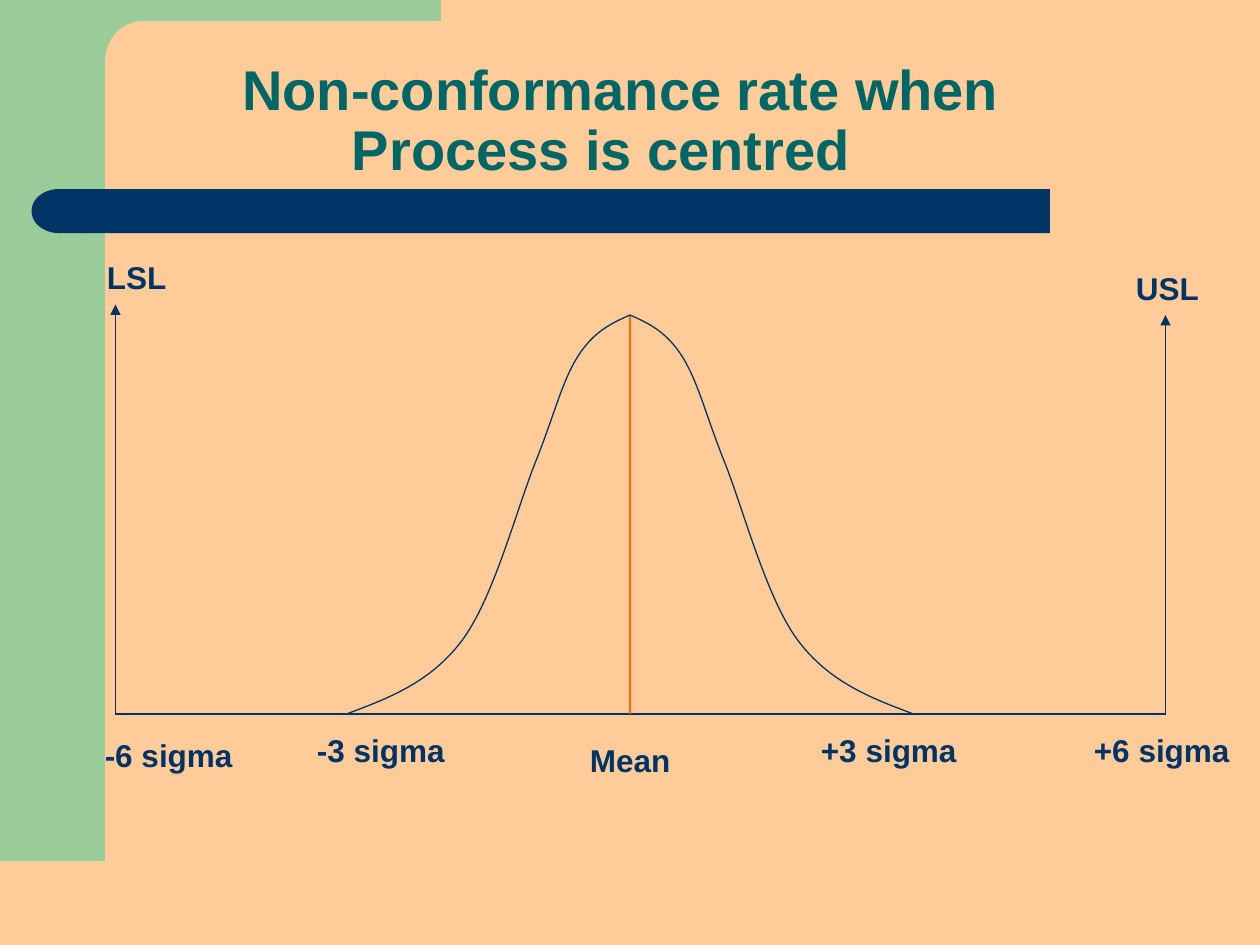
import copy

import lxml.etree
import pptx
import pptx.dml.color
import pptx.enum.shapes
import pptx.enum.text
import pptx.oxml.ns
import pptx.util

PEACH = pptx.dml.color.RGBColor(0xFF, 0xCC, 0x99)
GREEN = pptx.dml.color.RGBColor(0x99, 0xCC, 0x99)
NAVY = pptx.dml.color.RGBColor(0x00, 0x33, 0x66)
TEAL = pptx.dml.color.RGBColor(0x00, 0x66, 0x66)
ORANGE = pptx.dml.color.RGBColor(0xFF, 0x66, 0x00)
qn = pptx.oxml.ns.qn
SHAPES = pptx.enum.shapes.MSO_SHAPE

presentation = pptx.Presentation()
presentation.slide_width = pptx.util.Inches(10)
presentation.slide_height = pptx.util.Inches(7.5)
COLUMNS = 120
CELL = presentation.slide_width // COLUMNS
slide = presentation.slides.add_slide(presentation.slide_layouts[5])
slide.background.fill.solid()
slide.background.fill.fore_color.rgb = PEACH


def draw_outline(start, segments, closed):
    points = [point for segment in segments for point in segment]
    builder = slide.shapes.build_freeform(start[0] * CELL, start[1] * CELL)
    builder.add_line_segments([(x * CELL, y * CELL) for x, y in points], close=closed)
    shape = builder.convert_to_shape()
    shape.shadow.inherit = False
    line_steps = iter(list(shape.element.iter(qn("a:lnTo"))))
    for segment in segments:
        steps = [next(line_steps) for point in segment]
        if len(steps) == 3:
            curve = lxml.etree.Element(qn("a:cubicBezTo"))
            steps[0].addprevious(curve)
            for step in steps:
                curve.append(step[0])
                step.getparent().remove(step)
    return shape


def style_runs(paragraph, formats):
    for run in paragraph.runs:
        run.font.color.rgb = formats["color"]
        for name, value in formats["font"].items():
            setattr(run.font, name, value)


bars = [
    (SHAPES.RECTANGLE, 0, 0, 10, 82, GREEN, 0),
    (SHAPES.RECTANGLE, 8, 18, 92, 4.2, NAVY, 0),
    (SHAPES.FLOWCHART_DELAY, 3, 18, 5.2, 4.2, NAVY, 180),
]
for kind, left, top, width, height, color, rotation in bars:
    bar = slide.shapes.add_shape(
        kind, *[int(length * CELL) for length in (left, top, width, height)])
    bar.rotation = rotation
    bar.shadow.inherit = False
    bar.fill.solid()
    bar.fill.fore_color.rgb = color
    bar.line.fill.background()

corner = draw_outline((42, 0), [
    [(42, 2)], [(13.6, 2)], [(11.6, 2), (10, 3.7), (10, 5.9)],
    [(10, 7.3)], [(6, 7.3)], [(6, 0)],
], True)
corner.fill.solid()
corner.fill.fore_color.rgb = GREEN
corner.line.fill.background()

title = slide.shapes.title
title.left, title.top, title.width, title.height = [
    int(length * CELL) for length in (16, 4.9, 102.1, 13.1)]
title.text_frame.text = "Non-conformance rate when\vProcess is centred"
title.text_frame.vertical_anchor = pptx.enum.text.MSO_ANCHOR.BOTTOM
title.text_frame.auto_size = pptx.enum.text.MSO_AUTO_SIZE.NONE
paragraph = title.text_frame.paragraphs[0]
paragraph.alignment = pptx.enum.text.PP_ALIGN.LEFT
paragraph.line_spacing = 0.9
properties = paragraph._p.get_or_add_pPr()
properties.set("marL", str(pptx.util.Inches(1.36)))
properties.set("indent", str(pptx.util.Inches(-0.87)))
style_runs(paragraph, {
    "color": TEAL,
    "font": {"name": "Arial", "size": pptx.util.Pt(32), "bold": True},
})
line_break = paragraph._p.find(qn("a:br"))
line_break.append(copy.deepcopy(paragraph.runs[0]._r.rPr))

BASE, PEAK, MEAN = 68, 30, COLUMNS / 2
lines = [
    (11, BASE, 111, BASE, NAVY, False),
    (111, BASE, 111, PEAK, NAVY, True),
    (MEAN, BASE, MEAN, PEAK, ORANGE, False),
    (11, BASE, 11, PEAK - 1, NAVY, True),
]
for *ends, color, has_arrow in lines:
    connector = slide.shapes.add_connector(
        pptx.enum.shapes.MSO_CONNECTOR.STRAIGHT, *[int(end * CELL) for end in ends])
    connector.line.color.rgb = color
    connector.line.width = pptx.util.Pt(0.75)
    if has_arrow:
        arrow = lxml.etree.SubElement(connector.line._get_or_add_ln(), qn("a:tailEnd"))
        arrow.set("type", "triangle")
    lxml.etree.SubElement(connector.element.spPr, qn("a:effectLst"))

half_bell = [
    [(37, 66.5), (41, 65), (44, 61)],
    [(47, 57), (49.2, 48.5), (51, 44)],
    [(52.8, 39.5), (53.5, 36.4), (55, 34)],
    [(56.5, 31.6), (58.2, 30.8), (MEAN, PEAK)],
]
mirrored_bell = [[(COLUMNS - x, y) for x, y in segment] for segment in half_bell]
for foot, segments in [(33, half_bell), (COLUMNS - 33, mirrored_bell)]:
    curve = draw_outline((foot, BASE), segments, False)
    curve.fill.background()
    curve.line.color.rgb = NAVY
    curve.line.width = pptx.util.Pt(0.75)

labels = [
    ("-6 sigma", 8.8, 69.5, 15.4, False),
    ("-3 sigma", 29, 69, 21, True),
    ("Mean", 55, 70, 14, True),
    ("+3 sigma", 77, 69, 20, True),
    ("+6 sigma", 103, 69, 17, True),
    ("LSL", 9, 24, 8.5, True),
    ("USL", 107, 25, 13, True),
]
for text, left, top, width, wraps in labels:
    label = slide.shapes.add_textbox(
        *[int(length * CELL) for length in (left, top, width, 4.8)])
    label.text_frame.word_wrap = wraps
    label.text_frame.text = text
    style_runs(label.text_frame.paragraphs[0], {
        "color": NAVY,
        "font": {"name": "Arial", "size": pptx.util.Pt(18), "bold": True},
    })

presentation.save("out.pptx")
